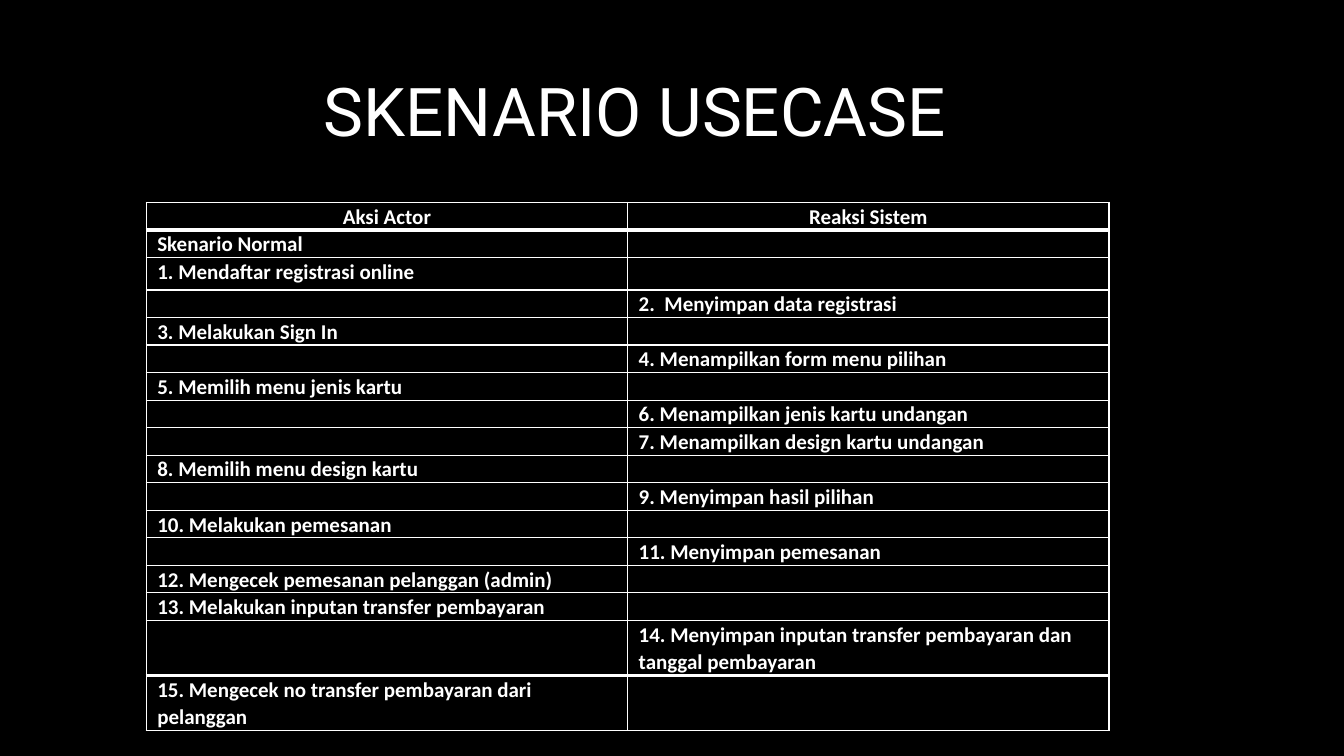
from lxml.etree import fromstring
from pptx import Presentation
from pptx.dml.color import RGBColor
from pptx.enum.text import MSO_ANCHOR, PP_ALIGN
from pptx.oxml.ns import nsdecls
from pptx.util import Inches, Pt

WIDE, HIGH = 13.33, 7.5
HUES = {"back": "000000", "ink": "FFFFFF"}
HEADS = ("Aksi Actor", "Reaksi Sistem")
ACTOR, SYSTEM = 0, 1
STEPS = [
    (ACTOR, "Skenario Normal"),
    (ACTOR, "1. Mendaftar registrasi online"),
    (SYSTEM, "2.  Menyimpan data registrasi"),
    (ACTOR, "3. Melakukan Sign In"),
    (SYSTEM, "4. Menampilkan form menu pilihan"),
    (ACTOR, "5. Memilih menu jenis kartu"),
    (SYSTEM, "6. Menampilkan jenis kartu undangan"),
    (SYSTEM, "7. Menampilkan design kartu undangan"),
    (ACTOR, "8. Memilih menu design kartu"),
    (SYSTEM, "9. Menyimpan hasil pilihan"),
    (ACTOR, "10. Melakukan pemesanan"),
    (SYSTEM, "11. Menyimpan pemesanan"),
    (ACTOR, "12. Mengecek pemesanan pelanggan (admin)"),
    (ACTOR, "13. Melakukan inputan transfer pembayaran"),
    (SYSTEM, "14. Menyimpan inputan transfer pembayaran dan tanggal pembayaran"),
    (ACTOR, "15. Mengecek no transfer pembayaran dari pelanggan"),
]
LAST = len(STEPS)
ROW, TALL, PAIR = 3.33, 4.27, 6.8
HEIGHTS = {2: TALL, LAST - 1: PAIR, LAST: PAIR}


def across(share):
    """Turn a percentage of the slide width into a length."""
    return Inches(WIDE * share / 100)


def down(share):
    """Turn a percentage of the slide height into a length."""
    return Inches(HIGH * share / 100)


def write(frame, text, size=15, face="Calibri", bold=False, align=PP_ALIGN.LEFT, lines=None):
    """Put formatted text in a frame, or size its blank line."""
    para = frame.paragraphs[0]
    para.alignment = align
    para.line_spacing = lines
    if not text:
        para._p.append(fromstring(f'<a:endParaRPr {nsdecls("a")} sz="{size * 100}"/>'))
        return
    run = para.add_run()
    run.text = text
    font = run.font
    font.size, font.name, font.bold = Pt(size), face, bold
    font.color.rgb = RGBColor.from_string(HUES["ink"])


def border(cell, top, base):
    """Draw the four edges of a cell, with widths in points."""
    props = cell._tc.get_or_add_tcPr()
    for spot, (side, width) in enumerate(zip("LRTB", (1, 1, top, base))):
        props.insert(spot, fromstring(
            f'<a:ln{side} {nsdecls("a")} w="{Pt(width)}"><a:solidFill>'
            f'<a:srgbClr val="{HUES["ink"]}"/></a:solidFill></a:ln{side}>'))


def style(cell, text, top=1, base=1, align=PP_ALIGN.LEFT):
    """Fill, pad, edge and write one cell."""
    cell.fill.solid()
    cell.fill.fore_color.rgb = RGBColor.from_string(HUES["back"])
    cell.margin_left = cell.margin_right = Inches(0.11)
    cell.margin_top = cell.margin_bottom = 0
    border(cell, top, base)
    write(cell.text_frame, text, bold=True, align=align, lines=1.07)


def add_title(slide, text):
    """Place the heading in the title placeholder."""
    title = slide.shapes.title
    title.left, title.top = across(23.33), down(7.73)
    title.width, title.height = across(50.41), down(13.6)
    title.text_frame.vertical_anchor = MSO_ANCHOR.MIDDLE
    write(title.text_frame, text, size=48, face="Roboto")


def add_steps(slide):
    """Lay out the scenario with one step on each row."""
    rows = [HEADS] + [(text, "") if side == ACTOR else ("", text) for side, text in STEPS]
    sizes = [HEIGHTS.get(spot, ROW) for spot in range(len(rows))]
    table = slide.shapes.add_table(
        len(rows), len(HEADS), across(10.88), down(26.8), across(71.64), down(sum(sizes))).table
    table.first_row = table.horz_banding = False
    for spot, (texts, size) in enumerate(zip(rows, sizes)):
        table.rows[spot].height = down(size)
        top = 3 if spot in (1, LAST) else 1
        base = 3 if spot in (0, LAST - 1) else 1
        align = PP_ALIGN.LEFT if spot else PP_ALIGN.CENTER
        for col, text in enumerate(texts):
            style(table.cell(spot, col), text, top, base, align)


def main():
    """Build and save the slide."""
    deck = Presentation()
    deck.slide_width, deck.slide_height = Inches(WIDE), Inches(HIGH)
    slide = deck.slides.add_slide(deck.slide_layouts[5])
    fill = slide.background.fill
    fill.solid()
    fill.fore_color.rgb = RGBColor.from_string(HUES["back"])
    add_title(slide, "SKENARIO USECASE")
    add_steps(slide)
    deck.save("out.pptx")


if __name__ == "__main__":
    main()
